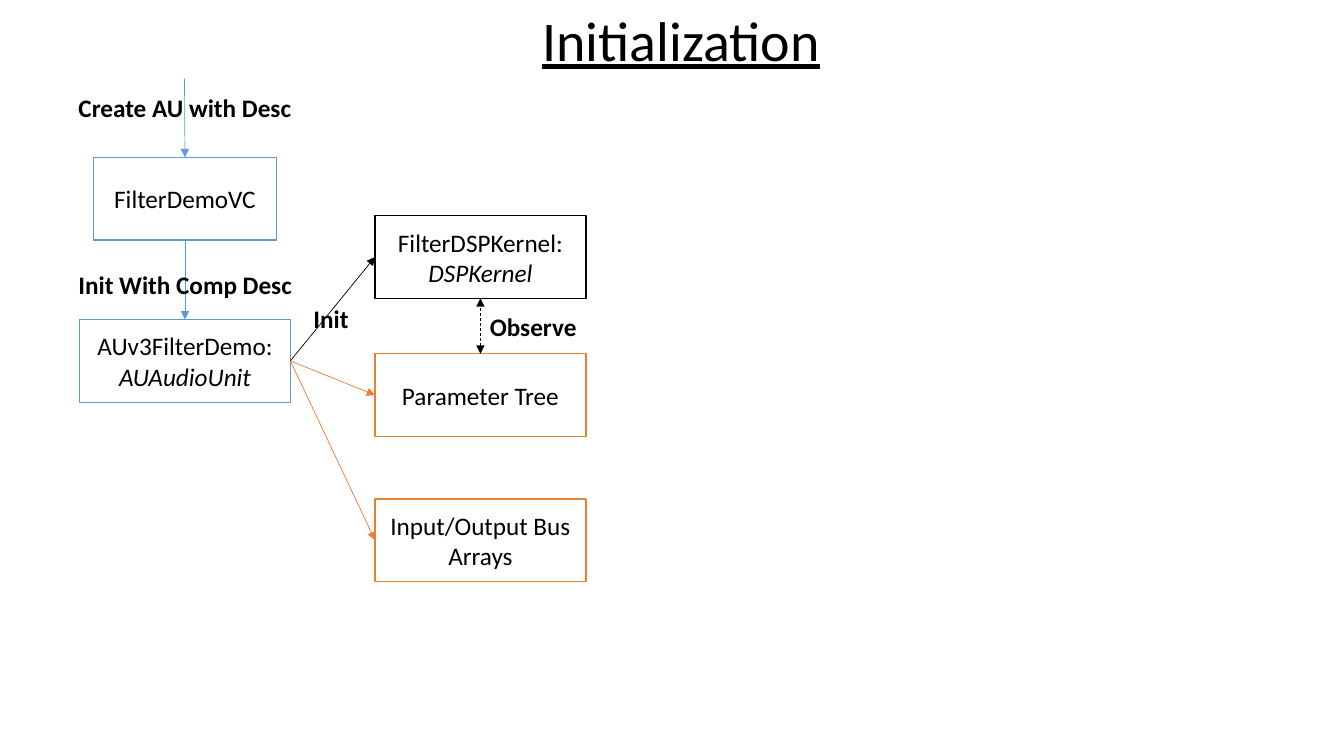
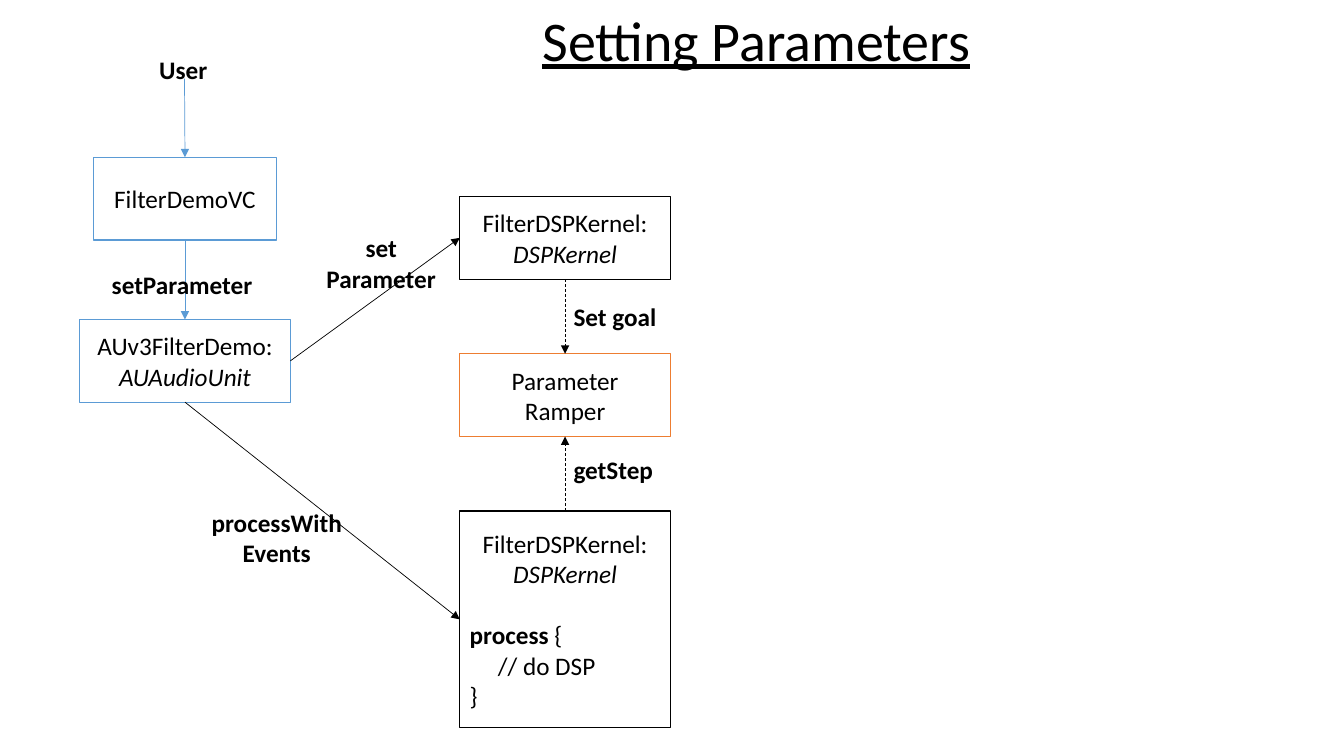
from lxml import etree
from pptx import Presentation
from pptx import util as u
from pptx.dml.color import RGBColor
from pptx.enum import dml, shapes, text
from pptx.oxml.ns import qn

FONT = "Calibri"
BLACK, WHITE, BLUE, ORANGE = "000000", "FFFFFF", "5B9BD5", "ED7D31"
BODY_SIZE, TITLE_SIZE = 18, 40
BOX_WIDTH, BOX_HEIGHT = 2.09, 0.82
TOP, LEFT, BOTTOM, RIGHT = range(4)


def color(value):
    """Return the colour for a hex string."""
    return RGBColor.from_string(value)


def format_run(run, size=BODY_SIZE, bold=False, italic=False, underline=False):
    """Apply the shared font and the given emphasis to a run."""
    font = run.font
    font.name, font.size = FONT, u.Pt(size)
    font.bold, font.italic, font.underline = bold, italic, underline
    font.color.rgb = color(BLACK)


def add_run(paragraph, words, **style):
    """Append formatted words to a paragraph."""
    run = paragraph.add_run()
    run.text = words
    format_run(run, **style)


def add_slide(presentation, title, width):
    """Add a slide with its underlined title."""
    slide = presentation.slides.add_slide(presentation.slide_layouts[5])
    shape = slide.shapes.title
    shape.left, shape.top = u.Inches(5.28), u.Inches(0)
    shape.width, shape.height = u.Inches(width), u.Inches(0.77)
    frame = shape.text_frame
    frame.text = title
    frame.word_wrap = False
    frame.auto_size = text.MSO_AUTO_SIZE.NONE
    frame.vertical_anchor = text.MSO_ANCHOR.TOP
    paragraph = frame.paragraphs[0]
    paragraph.alignment = text.PP_ALIGN.LEFT
    paragraph.line_spacing = 1.0
    format_run(paragraph.runs[0], size=TITLE_SIZE, underline=True)
    return slide


def add_box(slide, left, top, name, base="", line=BLACK, width=BOX_WIDTH, height=BOX_HEIGHT):
    """Add an outlined process box naming a class and its base class."""
    shape = slide.shapes.add_shape(
        shapes.MSO_SHAPE.FLOWCHART_PROCESS,
        u.Inches(left), u.Inches(top), u.Inches(width), u.Inches(height))
    shape.shadow.inherit = False
    shape.fill.solid()
    shape.fill.fore_color.rgb = color(WHITE)
    shape.line.color.rgb = color(line)
    shape.line.width = u.Pt(1)
    frame = shape.text_frame
    frame.word_wrap = True
    frame.vertical_anchor = text.MSO_ANCHOR.MIDDLE
    paragraph = frame.paragraphs[0]
    paragraph.alignment = text.PP_ALIGN.CENTER
    if base:
        add_run(paragraph, f"{name}: ")
        add_run(paragraph, base, italic=True)
    else:
        add_run(paragraph, name)
    return shape


def add_code_line(box, words, keyword="", indent=0, space=0):
    """Add a left-aligned line of code to a box."""
    paragraph = box.text_frame.add_paragraph()
    paragraph.alignment = text.PP_ALIGN.LEFT
    paragraph.space_before = u.Pt(space)
    paragraph._p.get_or_add_pPr().set("marL", str(u.Inches(indent)))
    if keyword:
        add_run(paragraph, keyword, bold=True)
    add_run(paragraph, words)


def add_label(slide, left, top, words, width, height=0.4, wrap=False):
    """Add a bold label, centred when it wraps."""
    shape = slide.shapes.add_textbox(
        u.Inches(left), u.Inches(top), u.Inches(width), u.Inches(height))
    frame = shape.text_frame
    frame.text = words
    frame.word_wrap = wrap
    frame.auto_size = text.MSO_AUTO_SIZE.SHAPE_TO_FIT_TEXT
    paragraph = frame.paragraphs[0]
    paragraph.alignment = text.PP_ALIGN.CENTER if wrap else text.PP_ALIGN.LEFT
    format_run(paragraph.runs[0], bold=True)


def add_arrow(slide, source, source_side, target, target_side,
              line=BLACK, dashed=False, both=False):
    """Connect two boxes, or drop an arrow onto the target without a source."""
    connector = slide.shapes.add_connector(
        shapes.MSO_CONNECTOR.STRAIGHT,
        u.Inches(1.83), u.Inches(0.78), u.Inches(1.84), u.Inches(1.56))
    if source is not None:
        connector.begin_connect(source, source_side)
    connector.end_connect(target, target_side)
    connector.line.color.rgb = color(line)
    connector.line.width = u.Pt(0.5)
    if dashed:
        connector.line.dash_style = dml.MSO_LINE.DASH
    outline = connector.line._get_or_add_ln()
    for end in ("a:headEnd", "a:tailEnd") if both else ("a:tailEnd",):
        etree.SubElement(outline, qn(end)).set("type", "triangle")
    etree.SubElement(connector._element.spPr, qn("a:effectLst"))


def add_audio_unit_column(slide):
    """Add the view controller and audio unit shared by both slides."""
    controller = add_box(slide, 0.93, 1.56, "FilterDemoVC", line=BLUE, width=1.81)
    audio_unit = add_box(slide, 0.79, 3.17, "AUv3FilterDemo", "AUAudioUnit", BLUE)
    add_arrow(slide, None, None, controller, TOP, BLUE)
    add_arrow(slide, controller, BOTTOM, audio_unit, TOP, BLUE)
    return audio_unit


def add_kernel(slide, left, top, **size):
    """Add a DSP kernel box."""
    return add_box(slide, left, top, "FilterDSPKernel", "DSPKernel", **size)


def build_initialization(presentation):
    """Build the slide on creating the audio unit."""
    slide = add_slide(presentation, "Initialization", 2.99)
    audio_unit = add_audio_unit_column(slide)
    column = 3.72
    kernel = add_kernel(slide, column, 2.14)
    tree = add_box(slide, column, 3.51, "Parameter Tree", line=ORANGE)
    buses = add_box(slide, column, 4.95, "Input/Output Bus Arrays", line=ORANGE)
    for target, line in ((kernel, BLACK), (buses, ORANGE), (tree, ORANGE)):
        add_arrow(slide, audio_unit, RIGHT, target, LEFT, line)
    add_arrow(slide, tree, TOP, kernel, BOTTOM, dashed=True, both=True)
    add_label(slide, 0.68, 0.87, "Create AU with Desc", 2.33)
    add_label(slide, 0.68, 2.62, "Init With Comp Desc", 2.34)
    add_label(slide, 3.01, 2.96, "Init", 0.55)
    add_label(slide, 4.76, 3.04, "Observe", 1.07)


def build_setting_parameters(presentation):
    """Build the slide on passing parameters to the kernel."""
    slide = add_slide(presentation, "Setting Parameters", 4.51)
    audio_unit = add_audio_unit_column(slide)
    column = 4.56
    kernel = add_kernel(slide, column, 1.95)
    ramper = add_box(slide, column, 3.51, "Parameter Ramper", line=ORANGE)
    processor = add_kernel(slide, column, 5.07, height=2.15)
    add_code_line(processor, " {", keyword="process", space=22)
    add_code_line(processor, "// do DSP", indent=0.28)
    add_code_line(processor, "}")
    add_arrow(slide, audio_unit, RIGHT, kernel, LEFT)
    add_arrow(slide, audio_unit, BOTTOM, processor, LEFT)
    add_arrow(slide, kernel, BOTTOM, ramper, TOP, dashed=True)
    add_arrow(slide, processor, TOP, ramper, BOTTOM, dashed=True)
    add_label(slide, 1.48, 0.49, "User", 0.68)
    add_label(slide, 1.01, 2.62, "setParameter", 1.61)
    add_label(slide, 5.59, 2.94, "Set goal", 1.03)
    add_label(slide, 5.59, 4.46, "getStep", 1)
    add_label(slide, 3.12, 2.26, "set Parameter", 1.32, 0.71, wrap=True)
    add_label(slide, 1.95, 4.98, "processWithEvents", 1.59, 0.71, wrap=True)


def main():
    """Build and save the presentation."""
    presentation = Presentation()
    presentation.slide_width = u.Inches(13.33)
    presentation.slide_height = u.Inches(7.5)
    build_initialization(presentation)
    build_setting_parameters(presentation)
    presentation.save("out.pptx")


main()
